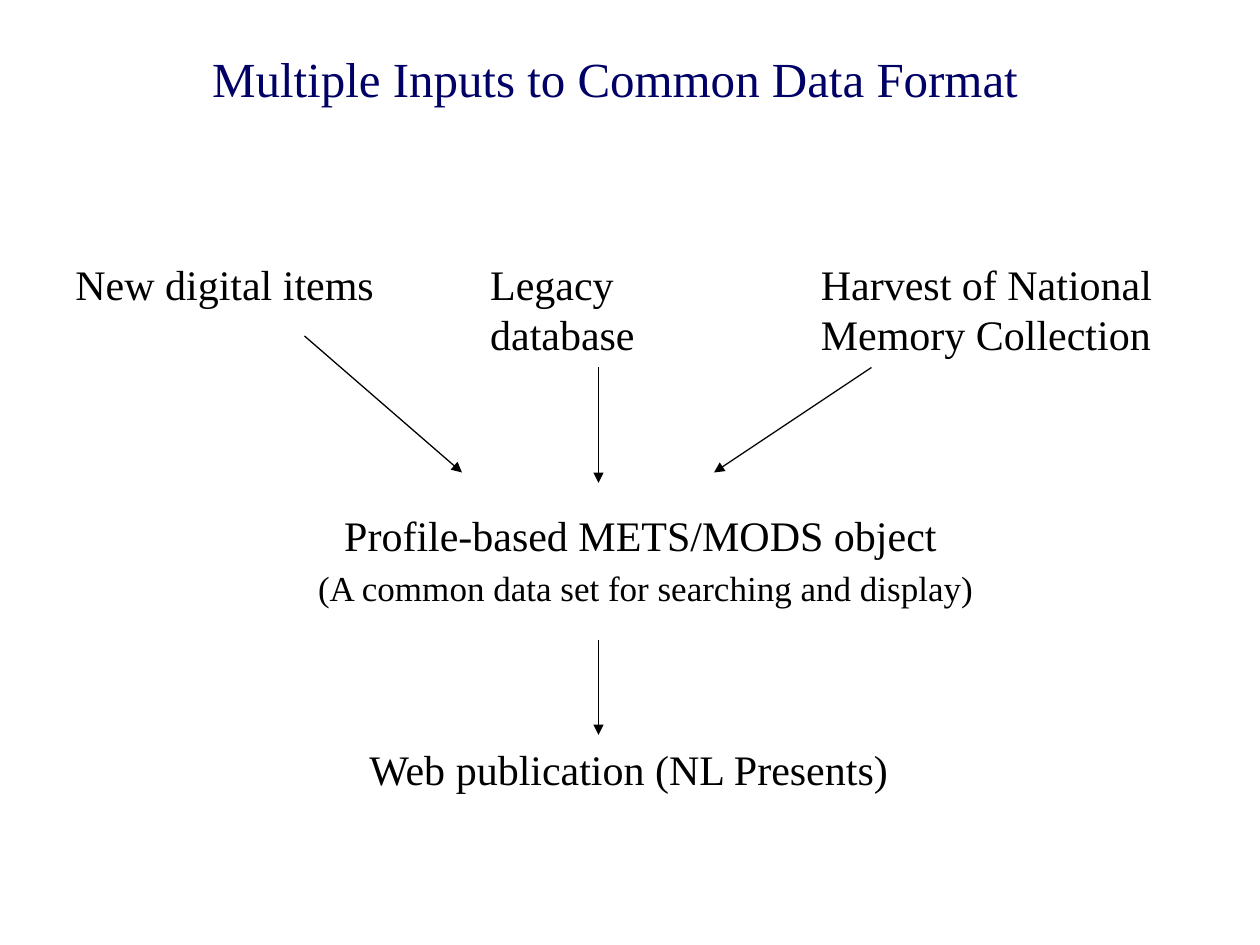
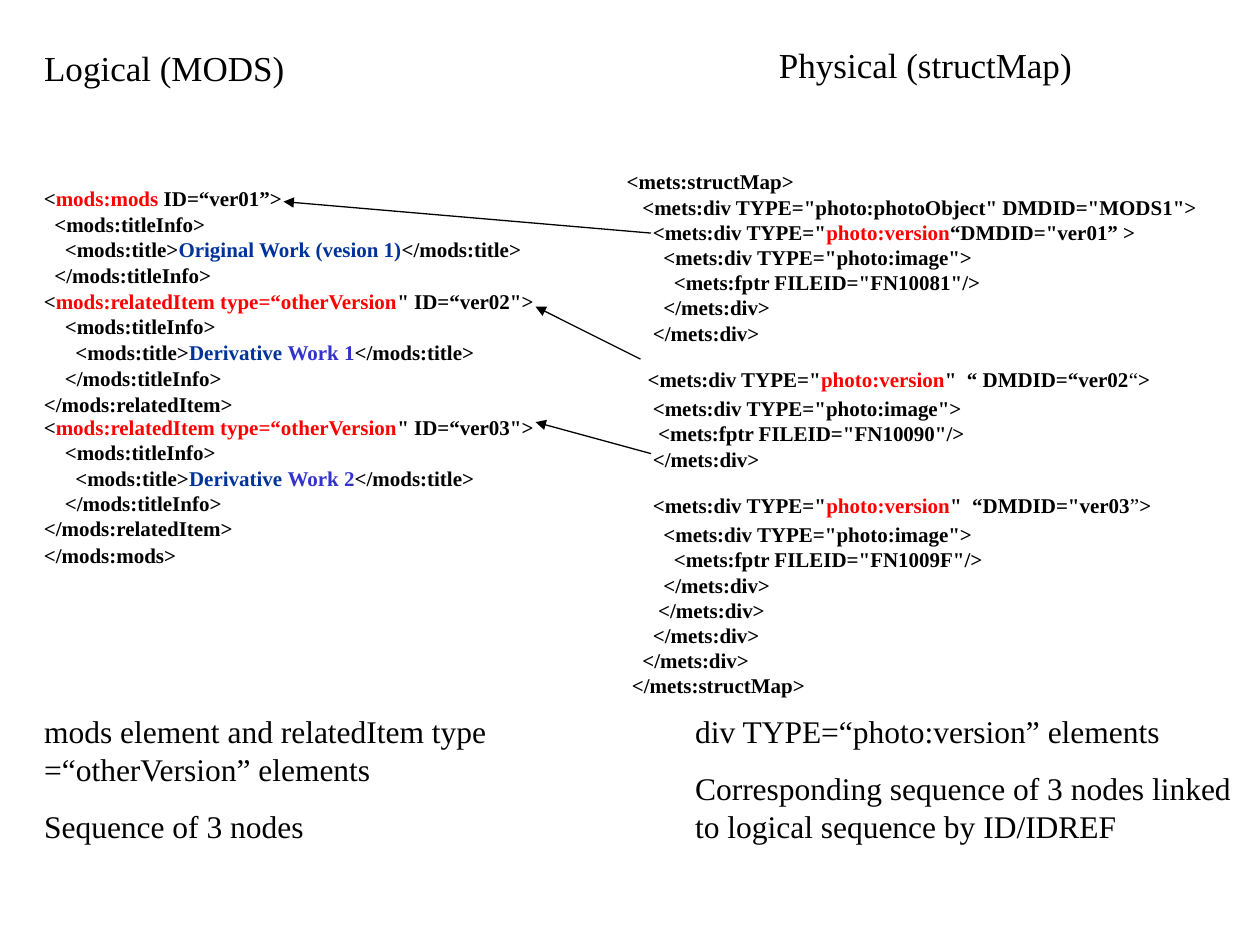
from lxml.etree import SubElement
from pptx import Presentation
from pptx.dml.color import RGBColor
from pptx.enum.shapes import MSO_CONNECTOR as Link
from pptx.enum.text import MSO_ANCHOR as Anchor, MSO_AUTO_SIZE as Fit, PP_ALIGN as Align
from pptx.oxml.ns import qn
from pptx.util import Inches, Pt

deck = Presentation()
deck.slide_width, deck.slide_height = Inches(10), Inches(7.5)
cell = deck.slide_width / 120
hue = RGBColor.from_string

FONT = "Times New Roman"
BLACK, NAVY, RED = "000000", "000066", "FF0000"
BLUE, VIOLET = "003399", "3333CC"
SPACE = 3


def text(page, at, paras, hold=None, size=24, color=BLACK, bold=False,
         align=Align.LEFT, before=0, lead=1):
    box = page.shapes.add_textbox(0, 0, 0, 0) if hold is None else page.placeholders[hold]
    box.left, box.top, box.width, box.height = [round(n * cell) for n in at]
    frame = box.text_frame
    frame.word_wrap = True
    frame.auto_size = Fit.SHAPE_TO_FIT_TEXT
    frame.vertical_anchor = Anchor.TOP
    for i, (step, *runs) in enumerate(paras):
        par = frame.add_paragraph() if i else frame.paragraphs[0]
        par.alignment = align
        par.space_before, par.space_after = Pt(before), Pt(0)
        par.line_spacing = lead
        props = par._p.get_or_add_pPr()
        props.set("marL", str(Pt(step * SPACE)))
        props.set("indent", "0")
        SubElement(props, qn("a:buNone"))
        for item in runs:
            if item == "\n":
                par.add_line_break()
                continue
            word, form = (item, {}) if isinstance(item, str) else item
            run = par.add_run()
            run.text = word
            run.font.name = FONT
            run.font.size = Pt(form.get("size", size))
            run.font.bold = form.get("bold", bold)
            run.font.color.rgb = hue(form.get("color", color))
    return frame


def arrow(page, *ends):
    link = page.shapes.add_connector(Link.STRAIGHT, *[round(n * cell) for n in ends])
    link.line.color.rgb = hue(BLACK)
    link.line.width = Pt(0.74)
    props = link._element.spPr
    SubElement(props.find(qn("a:ln")), qn("a:tailEnd"), type="triangle")
    SubElement(props, qn("a:effectLst"))


flow = deck.slides.add_slide(deck.slide_layouts[5])
text(flow, (19, 4, 85, 6.8), [(0, "Multiple Inputs to Common Data Format")],
     hold=0, size=28, color=NAVY, before=17.5)
for left, wide, high, label in [
    (6, 33, 6, "New digital items"),
    (45.5, 22, 10.8, "Legacy database"),
    (77, 38, 10.8, "Harvest of National Memory Collection"),
]:
    text(flow, (left, 24, wide, high), [(0, label)], before=15)
note = dict(size=20)
text(flow, (27, 47.9, 68, 10.8),
     [(0, "Profile-based METS/MODS object", "\n", " ",
       ("(A common data set for searching and display)", note))],
     align=Align.CENTER, before=12.5)
text(flow, (34, 70.2, 60, 6), [(0, "Web publication (NL Presents)")], before=15)
for ends in [(57, 35, 57, 46), (83, 35, 68, 45), (29, 32, 44, 45), (57, 61, 57, 70)]:
    arrow(flow, *ends)

pair = deck.slides.add_slide(deck.slide_layouts[3])
text(pair, (3, 3.8, 41, 5.3), [(0, "Logical (MODS)")], hold=0, size=20, before=12.5)
text(pair, (73, 3.6, 32, 5.3), [(0, "Physical (structMap)")], size=20, before=12.5)

red, blue, violet = [dict(color=c) for c in (RED, BLUE, VIOLET)]
mods = [
    (0, "<", ("mods:mods", red), " ID=“ver01”>"),
    (2, "<mods:titleInfo>"),
    (4, "<mods:title>", ("Original Work (vesion 1)", blue), "</mods:title>"),
    (2, "</mods:titleInfo>"),
]
for n in (1, 2):
    mods += [
        (0, "<", ("mods:relatedItem type=“otherVersion", red), f'" ID=“ver0{n + 1}">'),
        (4, "<mods:titleInfo>"),
        (6, "<mods:title>", ("Derivative ", blue), (f"Work {n}", violet), "</mods:title>"),
        (4, "</mods:titleInfo>"),
        (0, "</mods:relatedItem>"),
    ]
mods.append((0, "</mods:mods>"))
code = text(pair, (3, 18.1, 66, 36.5), mods, size=12, bold=True, before=7.5, lead=0.5)
for par in code.paragraphs[9:14]:
    par.space_before, par.line_spacing = Pt(0), 1

thin = dict(bold=False)
start, kind = '<mets:div TYPE="', ("photo:version", red)
gap = (" ", dict(size=24, bold=False))
image, close = '<mets:div TYPE="photo:image">', "</mets:div>"
mets = [
    (1, "<mets:structMap>"),
    (4, '<mets:div TYPE="photo:photoObject" DMDID="MODS1">'),
    (6, start, kind, '“DMDID="ver01” >'),
    (8, image),
    (10, '<mets:fptr FILEID="FN10081"/>'),
    (8, close),
    (6, close),
    (5, start, kind, '"', gap, "“ DMDID=“ver02", ("“", thin), ">"),
    (6, image),
    (7, '<mets:fptr FILEID="FN10090"/>'),
    (6, close),
    (6, start, kind, '"', gap, '“DMDID="ver03', ("”", thin), ">"),
    (8, image),
    (10, '<mets:fptr FILEID="FN1009F"/>'),
    *[(step, close) for step in (8, 7, 6, 4)],
    (2, "</mets:structMap>"),
]
text(pair, (58, 15.5, 59, 51.6), mets, size=12, bold=True)

for ends in [(62, 22.2, 27, 19.2), (61, 34.2, 51, 29.2), (62, 43.2, 51, 40.2)]:
    arrow(pair, *ends)

for hold, left, wide, lines in [
    (1, 3, 58, ("mods element and relatedItem type =“otherVersion” elements",
                "Sequence of 3 nodes")),
    (2, 65, 55, ("div TYPE=“photo:version” elements",
                 "Corresponding sequence of 3 nodes linked to logical sequence by ID/IDREF")),
]:
    text(pair, (left, 67.2, wide, 13.9), [(0, line) for line in lines],
         hold=hold, size=18, before=11.2)

deck.save("out.pptx")
